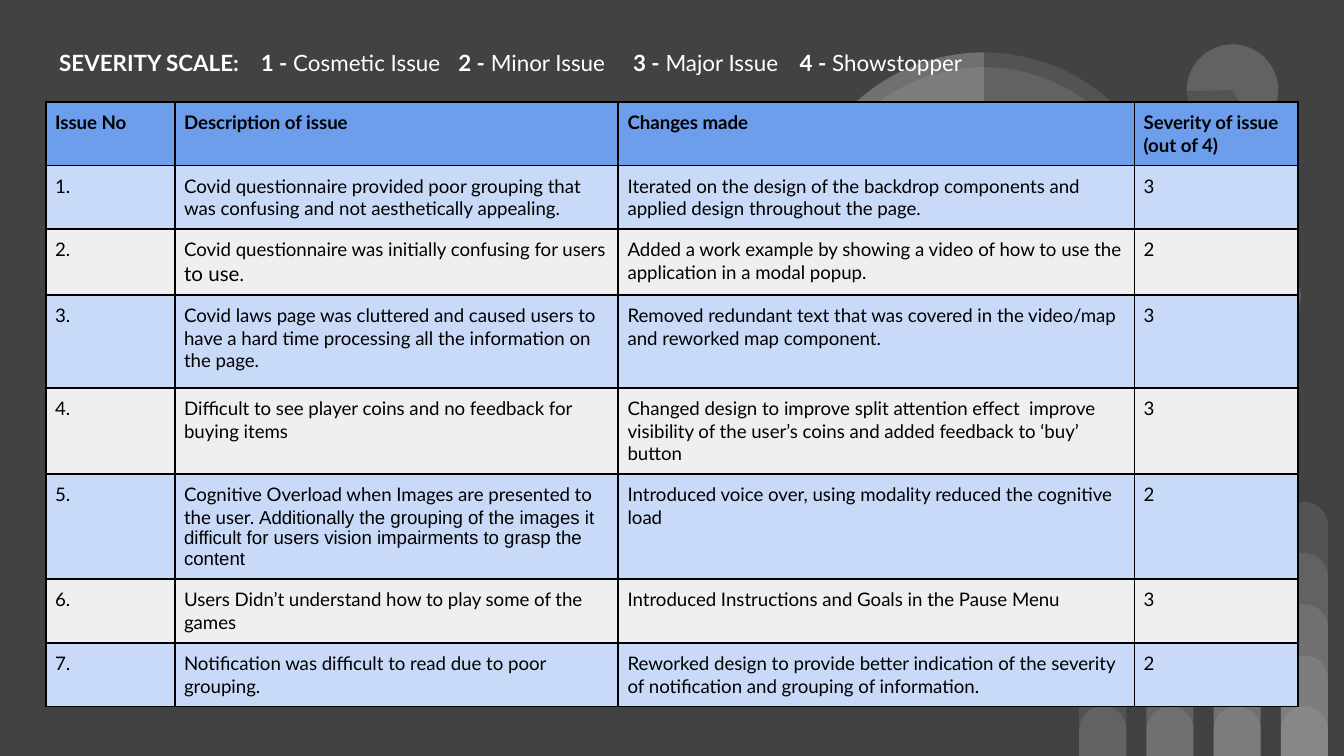
"""Build the usability issues slide with its severity scale and table of changes."""
import pptx
import pptx.dml.color
import pptx.enum.shapes
import pptx.enum.text
import pptx.oxml
import pptx.oxml.ns
import pptx.util
from lxml import etree

RGB = pptx.dml.color.RGBColor
SHAPES = pptx.enum.shapes.MSO_SHAPE
qn = pptx.oxml.ns.qn
CHARCOAL = RGB(0x42, 0x42, 0x42)
WHITE = RGB(0xFF, 0xFF, 0xFF)
BLACK = RGB(0x00, 0x00, 0x00)
HEADER_BLUE = RGB(0x6D, 0x9E, 0xEB)
PALE_BLUE = RGB(0xC9, 0xDA, 0xF8)
PALE_GREY = RGB(0xEF, 0xEF, 0xEF)


def write(paragraph, text, size=10, font="Lato", color=BLACK, bold=False):
    run = paragraph.add_run()
    run.text = text
    run.font.size = pptx.util.Pt(size)
    run.font.name = font
    run.font.color.rgb = color
    run.font.bold = bold


def add_glow(preset, left, top, width, height, rotation=0, angles=()):
    glow = slide.shapes.add_shape(preset, *(round(n * unit) for n in (left, top, width, height)))
    glow.shadow.inherit = False
    glow.rotation = rotation
    for index, angle in enumerate(angles):
        glow.adjustments[index] = angle
    glow.line.fill.background()
    glow.fill.solid()
    glow.fill.fore_color.rgb = WHITE
    color = glow.fill._xPr.find(qn("a:solidFill"))[0]
    etree.SubElement(color, qn("a:alpha"), val="9000")


deck = pptx.Presentation()
deck.slide_width = pptx.util.Inches(10)
deck.slide_height = deck.slide_width * 9 // 16
unit = deck.slide_width // 100
slide = deck.slides.add_slide(deck.slide_layouts[5])
slide.background.fill.solid()
slide.background.fill.fore_color.rgb = CHARCOAL

for column in range(4):
    for step in range(1, column + 3):
        height = 3.7 + 3.8 * (step - 1)
        add_glow(SHAPES.ROUND_2_SAME_RECTANGLE, 80.3 + 5 * column, 56.25 - height, 3.5, height,
                 angles=(0.5, 0))

for preset, left, top, size, rotation, angles in [
    (SHAPES.OVAL, 92.5, 19.9, 4.3, 0, ()),
    (SHAPES.PIE, 92.5, 19.9, 4.3, 0, (193.77, 162)),
    (SHAPES.OVAL, 88.3, 3.3, 6.8, 0, ()),
    (SHAPES.PIE, 88.3, 3.3, 6.8, 215.9, (193.77, 123.14)),
    (SHAPES.OVAL, 59.1, 3.9, 28.2, 0, ()),
    (SHAPES.OVAL, 60.2, 5, 25.9, 0, ()),
    (SHAPES.PIE, 59.1, 3.9, 28.2, 0, (88.01, 162)),
    (SHAPES.PIE, 59.1, 3.9, 28.2, 0, (125.54, 162)),
]:
    add_glow(preset, left, top, size, size, rotation, angles)

scale = slide.shapes.title
scale.left, scale.top, scale.width, scale.height = (round(n * unit) for n in (3.4, 2.35, 91.4, 4))
scale_frame = scale.text_frame
scale_frame.word_wrap = True
scale_frame.auto_size = pptx.enum.text.MSO_AUTO_SIZE.NONE
scale_frame.vertical_anchor = pptx.enum.text.MSO_ANCHOR.TOP
scale_frame.margin_left = scale_frame.margin_right = unit
scale_frame.margin_top = scale_frame.margin_bottom = unit
scale_line = scale_frame.paragraphs[0]
scale_line.alignment = pptx.enum.text.PP_ALIGN.LEFT
scale_line.line_spacing = 1.15
tabs = etree.SubElement(scale_line._p.get_or_add_pPr(), qn("a:tabLst"))
for stop in (15, 29.7, 42.7, 55.1):
    etree.SubElement(tabs, qn("a:tab"), pos=str(round(stop * unit)), algn="l")
write(scale_line, "SEVERITY SCALE:", size=12, color=WHITE, bold=True)
for level, meaning in enumerate(["Cosmetic Issue", "Minor Issue", "Major Issue", "Showstopper"], 1):
    write(scale_line, f"\t{level} -", size=12, color=WHITE, bold=True)
    write(scale_line, f" {meaning}", size=12, color=WHITE)

headings = ["Issue No", "Description of issue", "Changes made", "Severity of issue (out of 4)"]
issues = [
    ("Covid questionnaire provided poor grouping that was confusing and not aesthetically appealing.",
     "Iterated on the design of the backdrop components and applied design throughout the page.", 3),
    ([("Covid questionnaire was initially confusing for users ", {}), ("to use", {"size": 11}), (".", {})],
     "Added a work example by showing a video of how to use the application in a modal popup.", 2),
    ("Covid laws page was cluttered and caused users to have a hard time processing all the "
     "information on the page.",
     "Removed redundant text that was covered in the video/map and reworked map component.", 3),
    ("Difficult to see player coins and no feedback for buying items",
     "Changed design to improve split attention effect  improve visibility of the user’s coins "
     "and added feedback to ‘buy’ button", 3),
    ([("Cognitive Overload when Images are presented to the user. ", {}),
      ("Additionally the grouping of the images it difficult for users vision impairments "
       "to grasp the content", {"font": "Arial"})],
     "Introduced voice over, using modality reduced the cognitive load", 2),
    ("Users Didn’t understand how to play some of the games",
     "Introduced Instructions and Goals in the Pause Menu", 3),
    ("Notification was difficult to read due to poor grouping.",
     "Reworked design to provide better indication of the severity of notification "
     "and grouping of information.", 2),
]
rows = [headings] + [(f"{number}.", *issue) for number, issue in enumerate(issues, 1)]
column_widths = [9.6, 33, 38.4, 12.2]
row_heights = [4.7, 4.7, 4.9, 6.9, 6.4, 7.8, 4.75, 4.7]

log = slide.shapes.add_table(len(rows), len(headings), round(3.4 * unit), round(7.6 * unit),
                             round(sum(column_widths) * unit), round(sum(row_heights) * unit)).table
log.first_row = log.horz_banding = False
for column, width in zip(log.columns, column_widths):
    column.width = round(width * unit)

for index, (row, height, entries) in enumerate(zip(log.rows, row_heights, rows)):
    row.height = round(height * unit)
    for cell, entry in zip(row.cells, entries):
        cell.margin_left = cell.margin_right = round(0.7 * unit)
        cell.margin_top = cell.margin_bottom = round(0.7 * unit)
        for side in ("a:lnL", "a:lnR", "a:lnT", "a:lnB"):
            border = etree.SubElement(cell._tc.get_or_add_tcPr(), qn(side), w=str(pptx.util.Pt(1)))
            ink = etree.SubElement(border, qn("a:solidFill"))
            etree.SubElement(ink, qn("a:srgbClr"), val=str(BLACK))
        cell.fill.solid()
        cell.fill.fore_color.rgb = HEADER_BLUE if index == 0 else PALE_BLUE if index % 2 else PALE_GREY
        for text, look in entry if isinstance(entry, list) else [(str(entry), {})]:
            write(cell.text_frame.paragraphs[0], text, bold=index == 0, **look)

deck.save("out.pptx")
